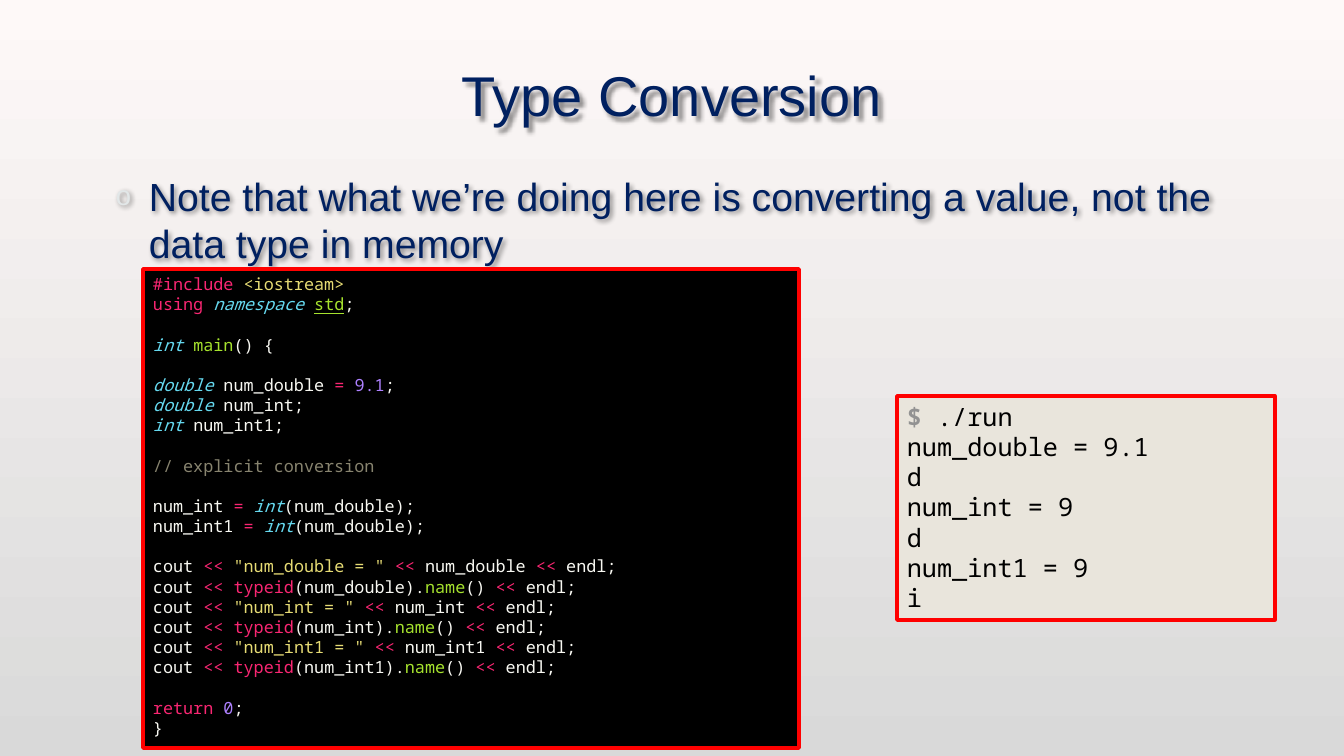
from lxml.etree import SubElement
from pptx import Presentation
from pptx.dml.color import RGBColor
from pptx.enum.shapes import MSO_SHAPE
from pptx.enum.text import MSO_ANCHOR, PP_ALIGN
from pptx.oxml import parse_xml
from pptx.oxml.ns import nsdecls, qn
from pptx.util import Emu, Pt

PX = 9072  # EMU per pixel at 100.8 pixels to the inch
COLORS = {
    "sky": "FEF9F8", "ground": "D9D9D9", "navy": "002060", "bullet": "E2E7E8",
    "frame": "FF0000", "editor": "000000", "terminal": "E9E5DC",
    "prompt": "929292", "output": "000000",
    "plain": "F8F8F2", "operator": "F92672", "type": "66D9EF", "name": "A6E22E",
    "namespace": "A6E22E", "string": "E6DB74", "number": "AE81FF", "comment": "88846F",
}
SHADOW = (
    f'<a:effectLst {nsdecls("a")}><a:outerShdw blurRad="38100" dist="38100" dir="2700000">'
    '<a:srgbClr val="000000"><a:alpha val="45000"/></a:srgbClr></a:outerShdw></a:effectLst>'
)


def add_heading(text, left, top, width, height, size):
    """Add navy text with a soft shadow and return its text frame."""
    box = slide.shapes.add_textbox(*(Emu(n * PX) for n in (left, top, width, height)))
    box.fill.background()
    box._element.spPr.append(parse_xml(SHADOW))
    frame = box.text_frame
    frame.word_wrap = True
    frame.text = text
    font = frame.paragraphs[0].runs[0].font
    font.name, font.size = "Arial", Pt(size)
    font.color.rgb = RGBColor.from_string(COLORS["navy"])
    return frame


def add_listing(blocks, left, top, width, height, size, fill):
    """Add a framed listing; each block of lines follows a one-line gap."""
    panel = slide.shapes.add_shape(
        MSO_SHAPE.RECTANGLE, *(Emu(n * PX) for n in (left, top, width, height)))
    panel.shadow.inherit = False
    panel.fill.solid()
    panel.fill.fore_color.rgb = RGBColor.from_string(COLORS[fill])
    panel.line.color.rgb = RGBColor.from_string(COLORS["frame"])
    panel.line.width = Pt(2.5)
    frame = panel.text_frame
    frame.word_wrap = True
    frame.vertical_anchor = MSO_ANCHOR.TOP
    line_height = Pt(size * 1.2)
    for block_number, block in enumerate(blocks):
        for line_number, line in enumerate(block):
            first = block_number == line_number == 0
            paragraph = frame.paragraphs[0] if first else frame.add_paragraph()
            paragraph.alignment = PP_ALIGN.LEFT
            paragraph.line_spacing = line_height
            if block_number and not line_number:
                paragraph.space_before = line_height
            for text, role in line:
                run = paragraph.add_run()
                run.text = text
                font = run.font
                font.name, font.size = "Noto Sans Mono", Pt(size)
                font.color.rgb = RGBColor.from_string(COLORS[role])
                font.bold = role == "prompt"
                font.italic = role == "type"
                font.underline = role == "namespace"


presentation = Presentation()
presentation.slide_width, presentation.slide_height = Emu(1344 * PX), Emu(756 * PX)
slide = presentation.slides.add_slide(presentation.slide_layouts[6])

backdrop = slide.background.fill
backdrop.gradient()
backdrop.gradient_angle = 270
for stop, shade, position in zip(backdrop.gradient_stops, ("sky", "ground"), (0, 1)):
    stop.color.rgb = RGBColor.from_string(COLORS[shade])
    stop.position = position

title = add_heading("Type Conversion", 101, 25, 1141, 139, 40)
title.vertical_anchor = MSO_ANCHOR.MIDDLE
title.paragraphs[0].alignment = PP_ALIGN.CENTER

note = add_heading(
    "Note that what we’re doing here is converting a value, not the data type in memory",
    101, 167, 1141, 406, 28).paragraphs[0]
indents = note._p.get_or_add_pPr()
indents.set("marL", str(38 * PX))
indents.set("indent", str(-33 * PX))
bullet_color = SubElement(indents, qn("a:buClr"))
SubElement(bullet_color, qn("a:srgbClr"), val=COLORS["bullet"])
SubElement(indents, qn("a:buSzPct"), val="70000")
SubElement(indents, qn("a:buFont"), typeface="Arial")
SubElement(indents, qn("a:buChar"), char="o")

results = [("num_double = 9.1", "d"), ("num_int = 9", "d"), ("num_int1 = 9", "i")]
terminal_lines = [[("$ ", "prompt"), ("./run", "output")]]
terminal_lines += [[(text, "output")] for result in results for text in result]
add_listing([terminal_lines], 897, 396, 378, 224, 18, "terminal")

includes = [
    [("#include ", "operator"), ("<iostream>", "string")],
    [("using ", "operator"), ("namespace ", "type"), ("std", "namespace"), (";", "plain")],
]
main_start = [[("int ", "type"), ("main", "name"), ("() {", "plain")]]
declarations = [
    [("double ", "type"), ("num_double ", "plain"), ("= ", "operator"),
     ("9.1", "number"), (";", "plain")],
    [("double ", "type"), ("num_int;", "plain")],
    [("int ", "type"), ("num_int1;", "plain")],
]
comment = [[("// explicit conversion", "comment")]]
conversions = [
    [(f"{target} ", "plain"), ("= ", "operator"), ("int", "type"), ("(num_double);", "plain")]
    for target in ("num_int", "num_int1")
]
printing = []
for variable in ("num_double", "num_int", "num_int1"):
    printing += [
        [("cout ", "plain"), ("<< ", "operator"), (f'"{variable} = " ', "string"),
         ("<< ", "operator"), (f"{variable} ", "plain"), ("<< ", "operator"),
         ("endl;", "plain")],
        [("cout ", "plain"), ("<< typeid", "operator"), (f"({variable}).", "plain"),
         ("name", "name"), ("() ", "plain"), ("<< ", "operator"), ("endl;", "plain")],
    ]
main_end = [
    [("return ", "operator"), ("0", "number"), (";", "plain")],
    [("}", "plain")],
]
add_listing(
    [includes, main_start, declarations, comment, conversions, printing, main_end],
    143, 269, 656, 479, 12, "editor")

presentation.save("out.pptx")
